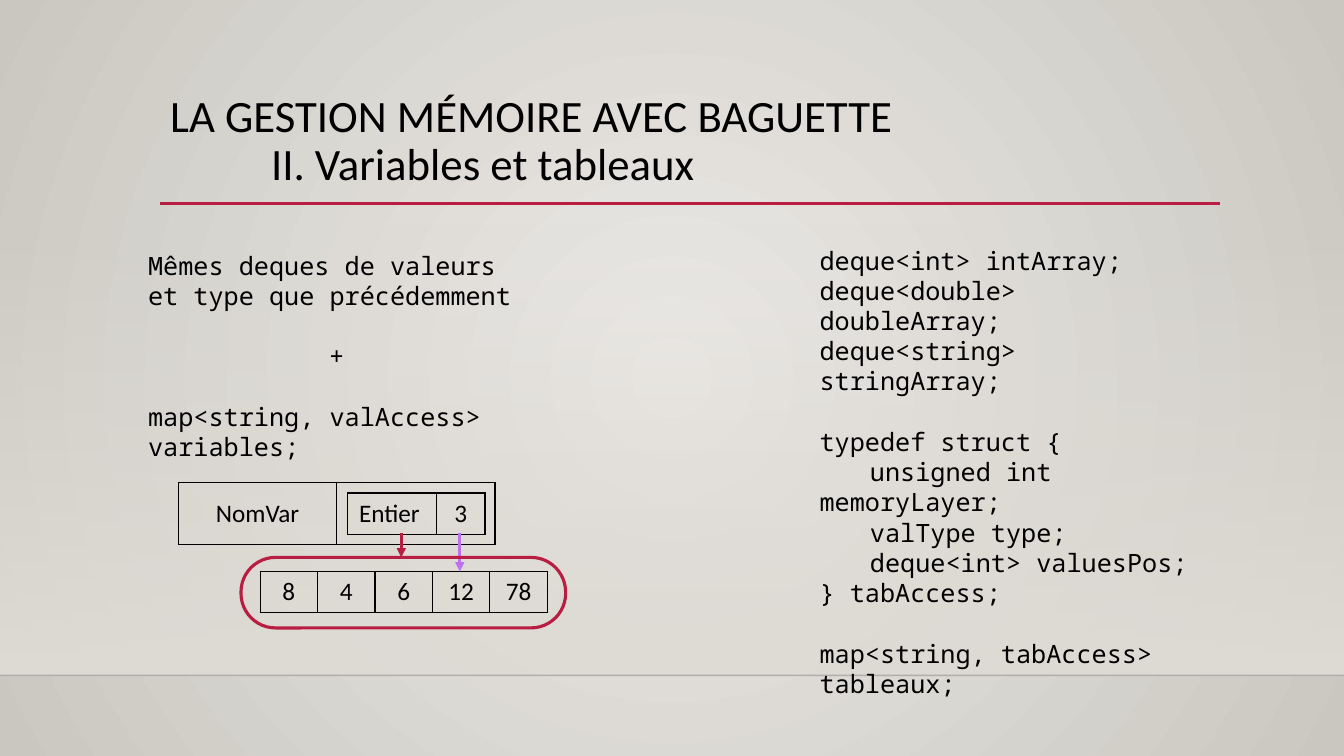
import pptx
import pptx.util
import pptx.dml.color
import pptx.enum.shapes
import pptx.enum.text
import pptx.oxml
import pptx.oxml.ns
from lxml import etree

Inches = pptx.util.Inches
Pt = pptx.util.Pt
RGB = pptx.dml.color.RGBColor.from_string
qn = pptx.oxml.ns.qn
KIND = pptx.enum.shapes.MSO_SHAPE
LINE = pptx.enum.shapes.MSO_CONNECTOR.STRAIGHT
ALIGN = pptx.enum.text.PP_ALIGN
ANCHOR = pptx.enum.text.MSO_ANCHOR

theme = {
    "ink": RGB("000000"), "red": RGB("B71E42"), "violet": RGB("BC72F0"),
    "edge": RGB("000001"), "floor": RGB("DFDBD5"),
    "light": RGB("ECEAE7"), "dark": RGB("CAC7C1"),
    "sans": "Calibri", "mono": "Noto Sans Mono",
    "title": Pt(32), "body": Pt(18), "step": Pt(21.6),
}


def add_line(start, end, color, width, arrow=False):
    line = slide.shapes.add_connector(LINE, *map(Inches, start + end))
    line.line.color.rgb = color
    line.line.width = Pt(width)
    etree.SubElement(line._element.spPr, qn("a:effectLst"))
    if arrow:
        etree.SubElement(line.line._ln, qn("a:tailEnd"), type="triangle")
    return line


def add_text(box, lines, font, size):
    frame = slide.shapes.add_textbox(*map(Inches, box)).text_frame
    frame.word_wrap = True
    for i, (text, look) in enumerate(lines):
        para = frame.paragraphs[0] if i == 0 else frame.add_paragraph()
        para.text = text
        para.font.name = font
        para.font.size = size
        para.font.color.rgb = theme["ink"]
        para.line_spacing = 0.9 if font == theme["sans"] else theme["step"]
        if look.get("gap"):
            para.space_before = theme["step"]
        if look.get("mid"):
            para.alignment = ALIGN.CENTER
        props = para._p.get_or_add_pPr()
        for key in ("marL", "indent"):
            props.set(key, str(Inches(look.get(key, 0))))


deck = pptx.Presentation()
deck.slide_width = Inches(13.33)
deck.slide_height = Inches(7.5)
slide = deck.slides.add_slide(deck.slide_layouts[6])

back = slide.background.fill
back.gradient()
for stop, name in zip(back.gradient_stops, ("light", "dark")):
    stop.color.rgb = theme[name]
lin = next(slide._element.iter(qn("a:lin")))
ring = etree.Element(qn("a:path"), path="circle")
etree.SubElement(ring, qn("a:fillToRect"), l="50000", t="50000", r="50000", b="50000")
lin.getparent().replace(lin, ring)

wall = slide.shapes.add_shape(KIND.RECTANGLE, 0, Inches(2.21), Inches(13.33), Inches(4.49))
wall.shadow.inherit = False
wall.line.fill.background()
wall.fill.gradient()
wall.fill.gradient_angle = 270
for stop in wall.fill.gradient_stops:
    stop.color.rgb = theme["floor"]
edge = add_line((0, 6.7), (13.33, 6.7), theme["edge"], 1)
for part, alpha in ((wall, "0"), (edge, "20000")):
    tint = next(part._element.spPr.iter(qn("a:srgbClr")))
    etree.SubElement(tint, qn("a:alpha"), val=alpha)
add_line((1.59, 2.02), (12.1, 2.02), theme["red"], 2.5)

add_text((1.59, 0.88, 10.5, 1.15), [
    ("LA GESTION MÉMOIRE AVEC BAGUETTE", {}),
    ("II. Variables et tableaux", {"marL": 1}),
], theme["sans"], theme["title"])

add_text((1.37, 2.43, 3.94, 1.92), [
    ("Mêmes deques de valeurs et type que précédemment", {}),
    ("+", {"gap": True, "mid": True}),
    ("map<string, valAccess> variables;", {"gap": True}),
], theme["mono"], theme["body"])

add_text((8.03, 2.38, 3.94, 3.43), [
    ("deque<int> intArray;", {}),
    ("deque<double> doubleArray;", {}),
    ("deque<string> stringArray;", {}),
    ("typedef struct {", {"gap": True}),
    ("unsigned int memoryLayer;", {"indent": 0.5}),
    ("valType type;", {"marL": 0.5}),
    ("deque<int> valuesPos;", {"marL": 0.5}),
    ("} tabAccess;", {}),
    ("map<string, tabAccess> tableaux;", {"gap": True}),
], theme["mono"], theme["body"])

grids = [
    (1.77, 4.79, 0.61, [("NomVar", 1.57), ("", 1.57)]),
    (3.45, 4.89, 0.41, [("Entier ", 0.88), ("3", 0.48)]),
    (2.58, 5.67, 0.41, [(text, 0.57) for text in ("8", "4", "6", "12", "78")]),
]
for left, top, high, cells in grids:
    wide = sum(width for text, width in cells)
    grid = slide.shapes.add_table(
        1, len(cells), Inches(left), Inches(top), Inches(wide), Inches(high)).table
    grid.first_row = False
    grid.horz_banding = False
    for i, (text, width) in enumerate(cells):
        grid.columns[i].width = Inches(width)
        cell = grid.cell(0, i)
        cell.text = text
        cell.vertical_anchor = ANCHOR.MIDDLE
        para = cell.text_frame.paragraphs[0]
        para.alignment = ALIGN.CENTER
        para.font.name = theme["sans"]
        para.font.size = theme["body"]
        para.font.color.rgb = theme["ink"]
        props = cell._tc.get_or_add_tcPr()
        for side in ("a:lnL", "a:lnR", "a:lnT", "a:lnB"):
            rule = etree.SubElement(props, qn(side), w=str(Pt(1)))
            paint = etree.SubElement(rule, qn("a:solidFill"))
            etree.SubElement(paint, qn("a:srgbClr"), val=str(theme["ink"]))
        cell.fill.background()
        props.append(props.find(qn("a:noFill")))

add_line((4.56, 5.29), (4.56, 5.67), theme["violet"], 2.25, True)
ring = slide.shapes.add_shape(
    KIND.ROUNDED_RECTANGLE, Inches(2.39), Inches(5.53), Inches(3.22), Inches(0.7))
ring.adjustments[0] = 0.49
ring.shadow.inherit = False
ring.fill.background()
ring.line.color.rgb = theme["red"]
ring.line.width = Pt(2.25)
add_line((3.98, 5.29), (3.98, 5.53), theme["red"], 2.25, True)

deck.save("out.pptx")
